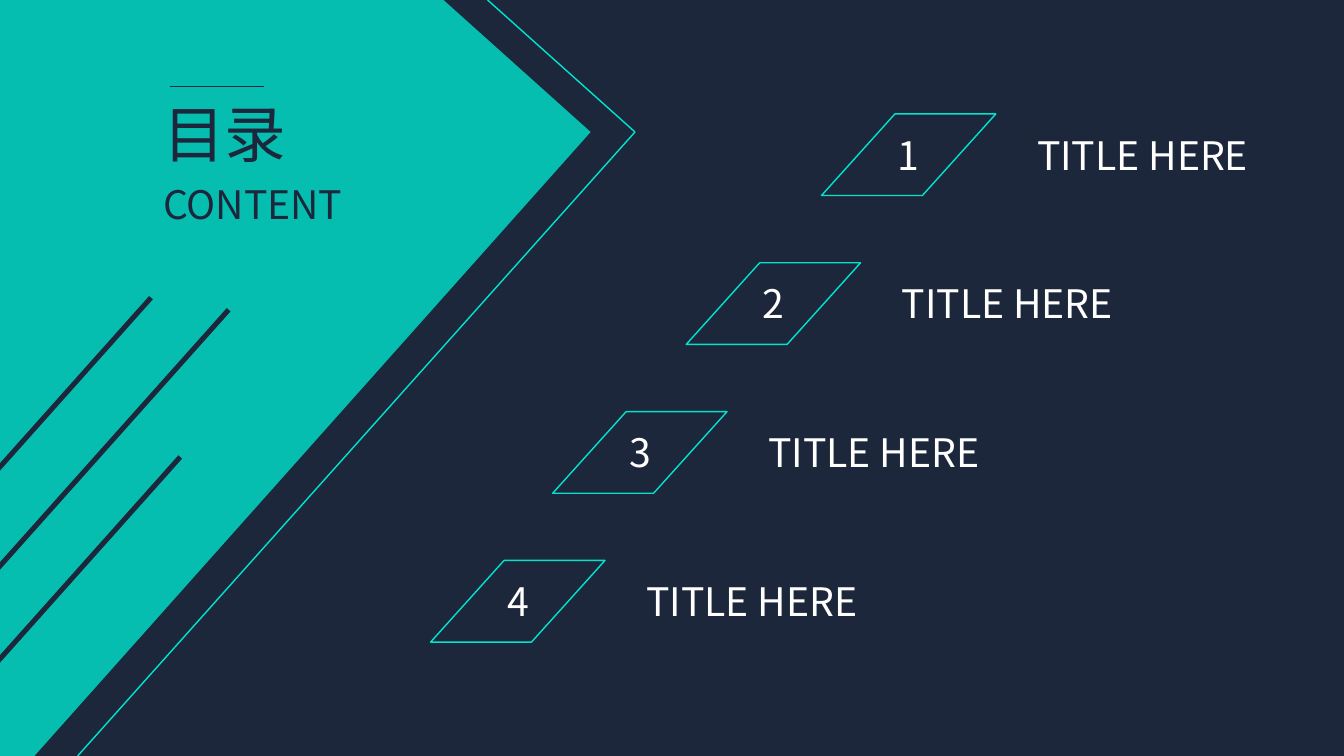
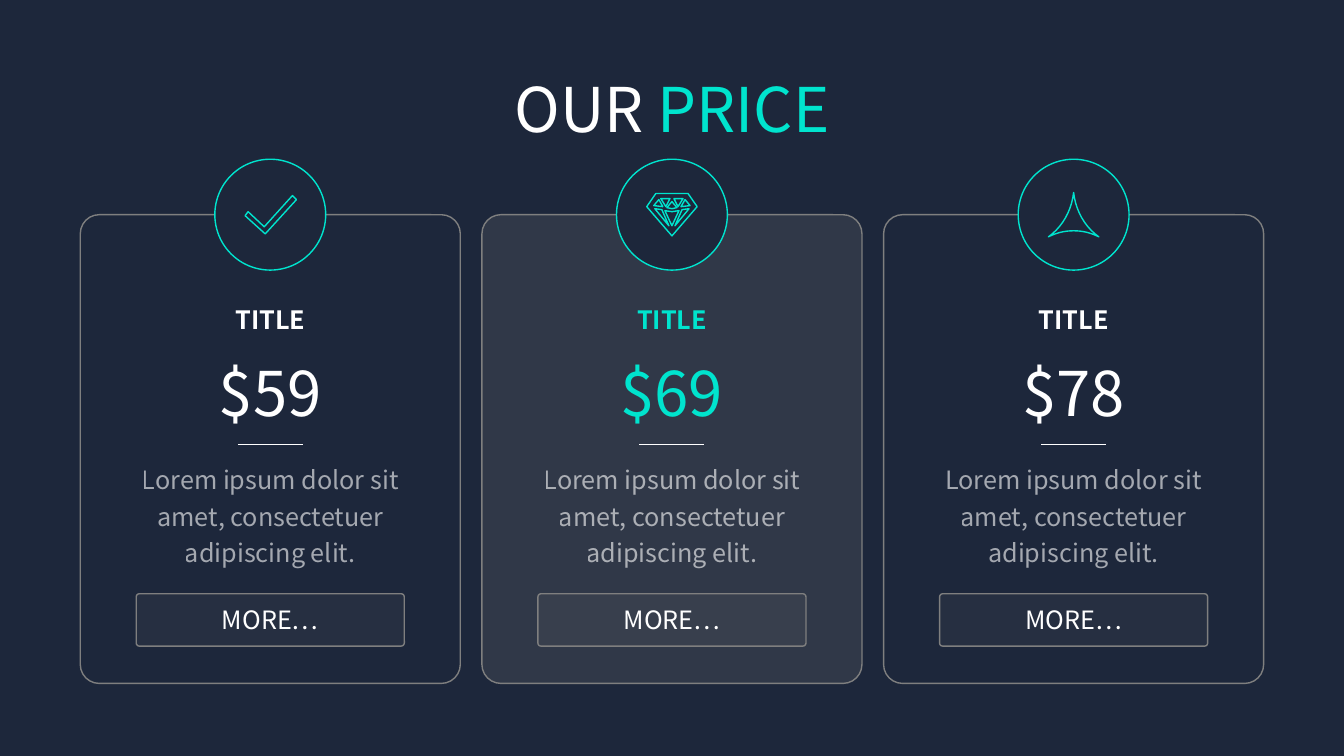
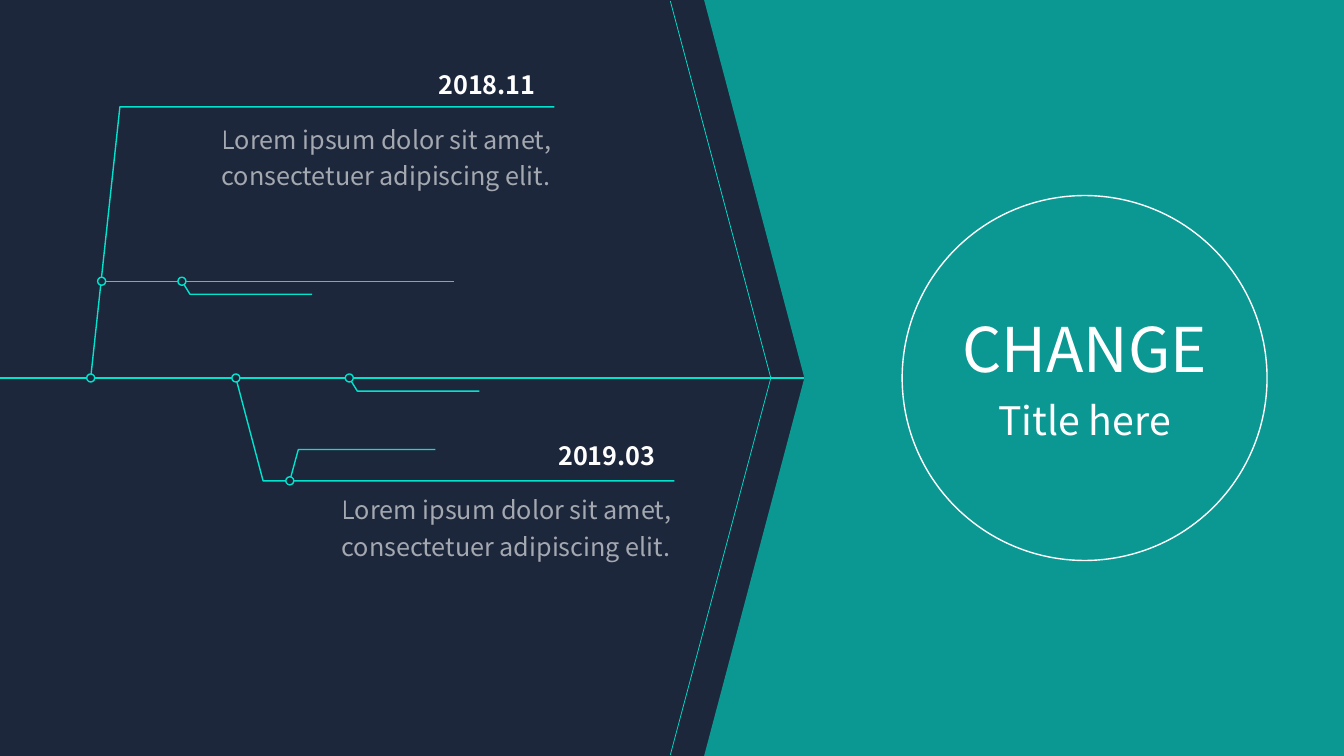
import pptx
import pptx.util
import pptx.dml.color
import pptx.enum.shapes
import pptx.enum.text
import pptx.oxml
import pptx.oxml.ns
from lxml import etree

COLS, ROWS = 160, 90
CELL = 76200
FONT = "Noto Sans CJK SC"
NAVY, TEAL, WHITE, GREY = "1D273B", "00E4CE", "FFFFFF", "7F7F7F"
FADED = "FFFFFF99"
SHAPES = pptx.enum.shapes.MSO_SHAPE
ALIGN = pptx.enum.text.PP_ALIGN
HEIGHTS = {44: 10, 28: 6.84, 18: 4.8}
LOREM = "Lorem ipsum dolor sit amet, consectetuer adipiscing elit."


def grid(*cells):
    return [pptx.util.Emu(round(c * CELL)) for c in cells]


def sub(parent, tag, **attrs):
    return etree.SubElement(parent, pptx.oxml.ns.qn(tag), attrs)


def paint(fill, color):
    if color is None:
        fill.background()
        return
    fill.solid()
    fill.fore_color.rgb = pptx.dml.color.RGBColor.from_string(color[:6])
    if color[6:]:
        solid = fill._xPr.find(pptx.oxml.ns.qn("a:solidFill"))
        alpha = round(int(color[6:], 16) / 255 * 100) * 1000
        sub(solid[0], "a:alpha", val=str(alpha))


def place(points, x, y, scale):
    return [(x + px * scale, y + py * scale) for px, py in points]


def mirror(points):
    return [(-x, y) for x, y in points]


def bezier(a, b, c, d, steps=10):
    curve = []
    for i in range(steps + 1):
        t = i / steps
        u = 1 - t
        curve.append(tuple(u**3 * p + 3 * u * u * t * q + 3 * u * t * t * m + t**3 * n
                           for p, q, m, n in zip(a, b, c, d)))
    return curve


class Deck:
    def __init__(self):
        self.prs = pptx.Presentation()
        self.prs.slide_width, self.prs.slide_height = grid(COLS, ROWS)

    def slide(self):
        self.s = self.prs.slides.add_slide(self.prs.slide_layouts[6])
        paint(self.s.background.fill, NAVY)

    def finish(self, sp, fill, line, width=1):
        sp.shadow.inherit = False
        paint(sp.fill, fill)
        paint(sp.line.fill, line)
        if line:
            sp.line.width = pptx.util.Pt(width)

    def shape(self, kind, x, y, w, h, fill=None, line=TEAL, adj=None):
        sp = self.s.shapes.add_shape(kind, *grid(x, y, w, h))
        if adj is not None:
            sp.adjustments[0] = adj
        self.finish(sp, fill, line)

    def circle(self, cx, cy, d, fill=NAVY, line=TEAL):
        self.shape(SHAPES.OVAL, cx - d / 2, cy - d / 2, d, d, fill, line)

    def outline(self, *contours, fill=None, line=TEAL, close=True):
        fb = None
        for contour in contours:
            start, *rest = [grid(*p) for p in contour]
            if fb is None:
                fb = self.s.shapes.build_freeform(*start, scale=1.0)
            else:
                fb.move_to(*start)
            fb.add_line_segments(rest, close=close)
        self.finish(fb.convert_to_shape(), fill, line)

    def line(self, x1, y1, x2, y2, color=TEAL, width=1):
        straight = pptx.enum.shapes.MSO_CONNECTOR.STRAIGHT
        cn = self.s.shapes.add_connector(straight, *grid(x1, y1, x2, y2))
        paint(cn.line.fill, color)
        cn.line.width = pptx.util.Pt(width)
        sub(cn.element.spPr, "a:effectLst")

    def text(self, x, y, w, runs, size, color=WHITE, bold=False,
             align=ALIGN.LEFT, lines=1, spacing=1.0):
        h = HEIGHTS[size] * lines
        tf = self.s.shapes.add_textbox(*grid(x, y, w, h)).text_frame
        tf.word_wrap = True
        p = tf.paragraphs[0]
        for name, value in {"alignment": align, "line_spacing": spacing}.items():
            setattr(p, name, value)
        for content, tint in [(runs, color)] if isinstance(runs, str) else runs:
            r = p.add_run()
            r.text = content
            style = {"name": FONT, "size": pptx.util.Pt(size), "bold": bold}
            for name, value in style.items():
                setattr(r.font, name, value)
            paint(r.font.fill, tint)
            sub(r.font._element if hasattr(r.font, "_element") else r.font._rPr,
                "a:ea", typeface=FONT)

    def centred(self, cx, y, w, runs, size, **style):
        self.text(cx - w / 2, y, w, runs, size, align=ALIGN.CENTER, **style)


def contents(deck):
    deck.slide()
    slope = 1.12
    panel = [(0, 0), (52.8, 0), (70.32, 15.72), (4.1, ROWS), (0, ROWS)]
    for x, y in [(21.72, 54.6), (27.48, 37.08), (18.24, 35.64)]:
        for tip_x, tip_y in [(x, y), (x - 0.48, y - 0.42)]:
            edge = (0, tip_y + tip_x * slope)
            tip = (tip_x, tip_y)
            panel += [edge, tip] if tip_x == x else [tip, edge]
    deck.outline(panel, fill="00E4CECC", line=None)
    deck.outline([(58.05, 0), (75.6, 15.72), (9.25, ROWS)], close=False)
    deck.text(18.24, 10.8, 27.12, "目录", 44, color=NAVY)
    deck.text(18.24, 20.88, 27.12, "CONTENT", 28, color=NAVY)
    deck.line(20.28, 10.3, 31.44, 10.3, NAVY, 0.5)
    for i, x in enumerate([97.8, 81.7, 65.8, 51.27]):
        y = 13.56 + 17.72 * i
        deck.shape(SHAPES.PARALLELOGRAM, x, y, 20.76, 9.72, adj=0.9)
        deck.centred(x + 10.4, y + 1.44, 6.72, str(i + 1), 28)
        deck.text(x + 24.48, y + 1.44, 36, "TITLE HERE", 28)


def icons():
    check = [[(22, -19), (26, -15), (-5, 19), (-25, 1), (-22, -3), (-6, 12)]]
    facets = [
        [(17, -6), (10, -5), (3, 11)],
        [(13, -15), (9, -8), (18, -9)],
        [(2, -16), (6, -8), (11, -16)],
    ]
    diamond = [
        [(-16, -21), (16, -21), (25, -8), (0, 21), (-25, -8)],
        [(-7, -4), (0, 11), (7, -4), (0, -3)],
        [(0, -13), (-5, -7), (0, -6), (5, -7)],
    ] + facets + [mirror(f) for f in facets]
    half = (bezier((0, -22), (2, -4), (11, 12), (25, 22))
            + bezier((25, 22), (17, 18), (9, 16), (0, 16))[1:])
    star = [half + mirror(half)[-2:0:-1]]
    return check, diamond, star


def prices(deck):
    deck.slide()
    deck.centred(COLS / 2, 7.8, 58.92, [("OUR", WHITE), (" PRICE", TEAL)], 44)
    top = 25.56
    plans = [("$59", WHITE, None), ("$69", TEAL, GREY + "33"), ("$78", WHITE, None)]
    for i, ((price, tint, fill), icon) in enumerate(zip(plans, icons())):
        cx = COLS / 2 + 47.82 * (i - 1)
        deck.shape(SHAPES.ROUNDED_RECTANGLE, cx - 22.62, top, 45.24, 55.8,
                   fill, GREY, 0.05)
        deck.circle(cx, top, 13.2)
        deck.outline(*[place(c, cx, top, 0.12) for c in icon])
        deck.centred(cx, 35.64, 21.48, "TITLE", 18, color=tint, bold=True)
        deck.centred(cx, 41.64, 27.24, price, 44, color=tint)
        deck.line(cx - 3.87, 52.9, cx + 3.87, 52.9, WHITE, 0.5)
        deck.centred(cx, 54, 37.68, LOREM, 18, color=FADED, lines=3, spacing=1.2)
        deck.shape(SHAPES.ROUNDED_RECTANGLE, cx - 15.96, 70.68, 31.92, 6.24,
                   GREY + "1A", GREY, 0.06)
        deck.centred(cx, 71.4, 21.48, "MORE…", 18)


def timeline(deck):
    deck.slide()
    middle = ROWS / 2
    deck.outline([(83.82, 0), (COLS, 0), (COLS, ROWS), (83.82, ROWS), (95.76, middle)],
                 fill="00E4CE99", line=None)
    deck.line(0, middle, 95.76, middle)
    for y, tip in [(0.12, 45.12), (89.88, 44.88)]:
        deck.line(79.8, y, 91.8, tip, width=0.5)
    deck.line(12.48, 33.48, 54, 33.48)
    branches = [
        [(28.08, middle), (31.32, 57.24), (80.28, 57.24)],
        [(10.8, middle), (14.28, 12.72), (66, 12.72)],
        [(34.5, 57.24), (35.52, 53.52), (51.84, 53.52)],
    ]
    for x, y in [(41.58, middle), (21.66, 33.48)]:
        branches.append([(x, y), (x + 0.96, y + 1.56), (x + 15.48, y + 1.56)])
    for branch in branches:
        deck.outline(branch, close=False)
    for x, y in [branch[0] for branch in branches] + [(12.1, 33.48)]:
        deck.circle(x, y, 0.96)
    for x, y, date in [(51, 7.68, "2018.11"), (65.28, 51.84, "2019.03")]:
        deck.text(x, y, 15.72, date, 18, bold=True)
        deck.text(x - 25.8, y + 5.76, 51, LOREM, 18, color=FADED, lines=2, spacing=1.2)
    cx = 129.12
    deck.circle(cx, middle, 43.44, fill=None, line=WHITE)
    deck.centred(cx, 36.48, 58.92, "CHANGE", 44)
    deck.centred(cx, 46.56, 42.48, "Title here", 28)


def main():
    deck = Deck()
    for build in (contents, prices, timeline):
        build(deck)
    deck.prs.save("out.pptx")


if __name__ == "__main__":
    main()
